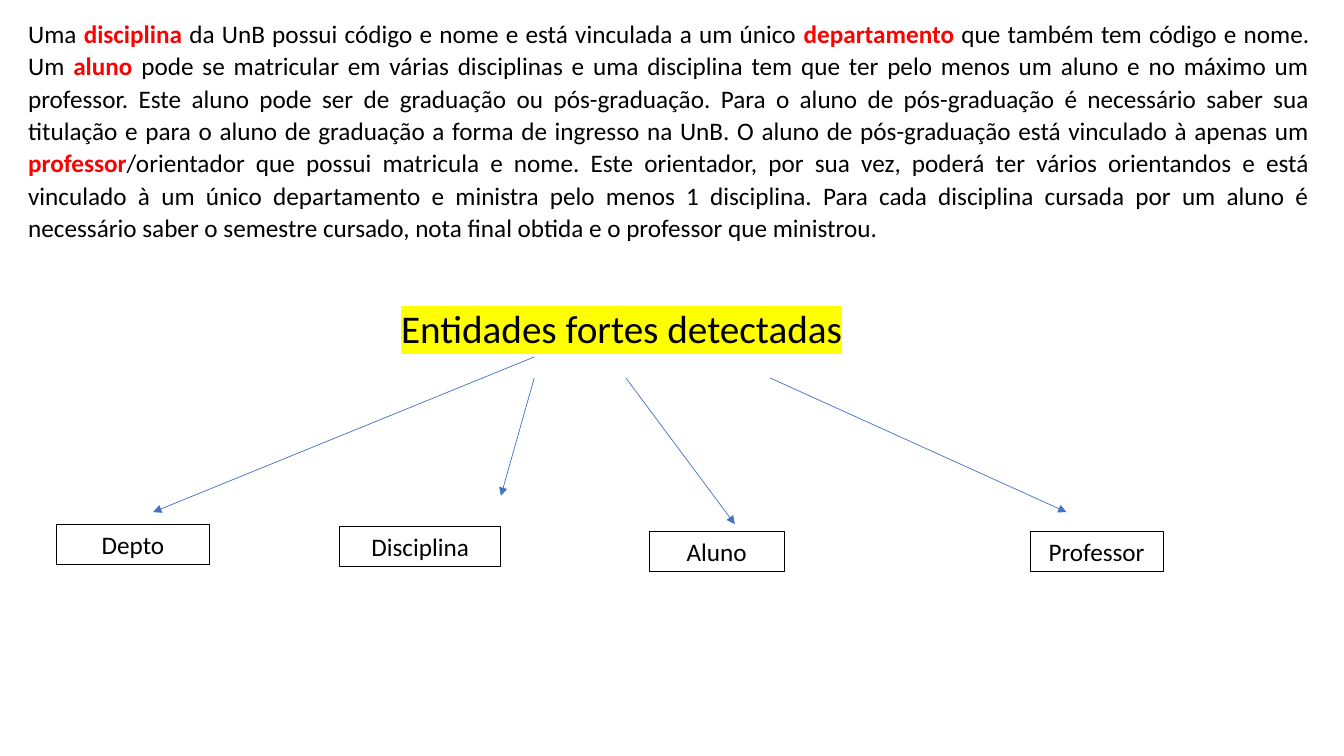
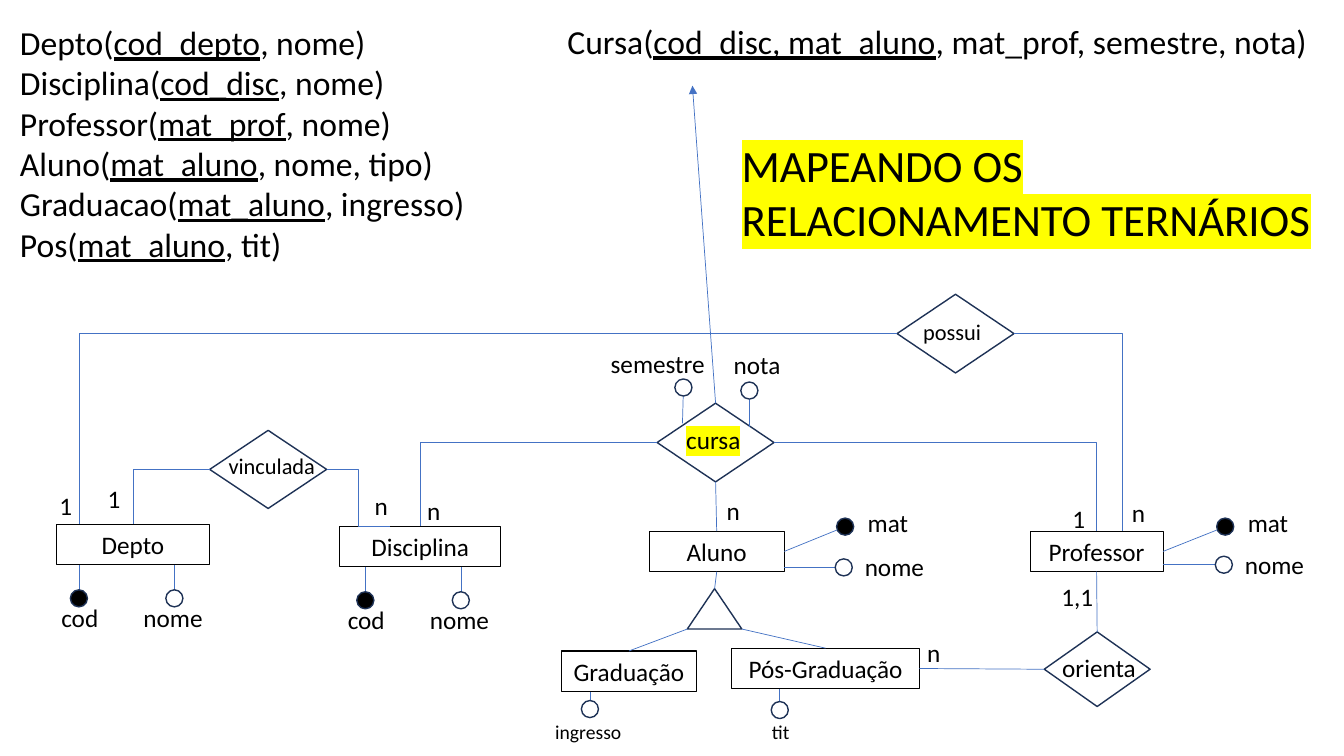
"""Entity-relationship lesson: strong entities and the mapping of a ternary relationship."""
from lxml import etree
from pptx import Presentation
from pptx.dml.color import RGBColor
from pptx.enum import shapes, text
from pptx.oxml import ns
from pptx.util import Pt

BLACK = RGBColor(0x00, 0x00, 0x00)
WHITE = RGBColor(0xFF, 0xFF, 0xFF)
RED = RGBColor(0xFF, 0x00, 0x00)
BLUE = RGBColor(0x44, 0x72, 0xC4)
NAVY = RGBColor(0x1E, 0x32, 0x56)
YELLOW = "FFFF00"
FONT = "Calibri"
SHAPE = shapes.MSO_SHAPE
ELBOW = "bentConnector3"
CORNER = "bentConnector2"
TOP, LEFT, BOTTOM, RIGHT = range(4)
ENTITY_H = 29
DOT = 12.2

MAIN_ENTITIES = [
    ("Depto", 40.3, 374.4, 109.4, WHITE),
    ("Disciplina", 242.6, 375.8, 115.2, None),
    ("Aluno", 463.7, 379.4, 96.5, None),
    ("Professor", 735.8, 379.4, 95, WHITE),
]
SUBTYPES = [
    ("Graduação", 401, 465, 96.5, None),
    ("Pós-Graduação", 522.7, 463, 134, None),
]
STATEMENT = (
    "Uma *disciplina* da UnB possui código e nome e está vinculada a um único "
    "*departamento* que também tem código e nome. Um *aluno* pode se matricular em "
    "várias disciplinas e uma disciplina tem que ter pelo menos um aluno e no máximo um "
    "professor. Este aluno pode ser de graduação ou pós-graduação. Para o aluno de "
    "pós-graduação é necessário saber sua titulação e para o aluno de graduação a forma "
    "de ingresso na UnB. O aluno de pós-graduação está vinculado à apenas um "
    "*professor*/orientador que possui matricula e nome. Este orientador, por sua vez, "
    "poderá ter vários orientandos e está vinculado à um único departamento e ministra "
    "pelo menos 1 disciplina. Para cada disciplina cursada por um aluno é necessário "
    "saber o semestre cursado, nota final obtida e o professor que ministrou."
)
RELATIONS = [
    "Depto(*cod_depto*, nome)",
    "Disciplina(*cod_disc*, nome)",
    "Professor(*mat_prof*, nome)",
    "Aluno(*mat_aluno*, nome, tipo)",
    "Graduacao(*mat_aluno*, ingresso)",
    "Pos(*mat_aluno*, tit)",
]
CARDINALITIES = [
    ("1", 35.3, 347), ("1", 69.8, 342), ("n", 260.6, 347), ("n", 298, 350.6),
    ("n", 512, 350), ("1", 758.9, 355.7), ("n", 801.4, 351.4),
    ("1,1", 751, 411.8), ("n", 655.2, 451.4),
]


def red_bold(r):
    """Mark a run as a key word."""
    r.font.bold = True
    r.font.color.rgb = RED


def underline(r):
    """Mark a run as a primary key."""
    r.font.underline = True


def highlight(r):
    """Give a run a yellow marker."""
    mark = etree.SubElement(r._r.get_or_add_rPr(), ns.qn("a:highlight"))
    etree.SubElement(mark, ns.qn("a:srgbClr"), val=YELLOW)


def write(p, marked, size, emphasis=None):
    """Fill a paragraph, applying emphasis to the parts between asterisks."""
    for i, part in enumerate(marked.split("*")):
        if part:
            r = p.add_run()
            r.text = part
            if i % 2:
                emphasis(r)
    p.font.name = FONT
    p.font.size = Pt(size)
    p.font.color.rgb = BLACK


def textbox(s, lines, x, y, w, h, size=18, emphasis=None):
    """Add a wrapped text box with one paragraph per line."""
    tf = s.shapes.add_textbox(Pt(x), Pt(y), Pt(w), Pt(h)).text_frame
    tf.word_wrap = True
    for i, line in enumerate(lines):
        p = tf.add_paragraph() if i else tf.paragraphs[0]
        write(p, line, size, emphasis)
    return tf


def label(s, caption, x, y, size=18, emphasis=None):
    """Add a short one-line caption."""
    textbox(s, [caption], x, y, 30 + 8 * len(caption), ENTITY_H, size, emphasis)


def figure(s, kind, x, y, w, h, fill=None, line=NAVY, width=1):
    """Add an outlined preset shape."""
    sp = s.shapes.add_shape(kind, Pt(x), Pt(y), Pt(w), Pt(h))
    sp.shadow.inherit = False
    if fill is None:
        sp.fill.background()
    else:
        sp.fill.solid()
        sp.fill.fore_color.rgb = fill
    sp.line.color.rgb = line
    sp.line.width = Pt(width)
    return sp


def entities(s, rows):
    """Add entity boxes and return them by name."""
    boxes = {}
    for name, x, y, w, fill in rows:
        sp = figure(s, SHAPE.RECTANGLE, x, y, w, ENTITY_H, fill, BLACK, 0.75)
        tf = sp.text_frame
        tf.word_wrap = True
        tf.vertical_anchor = text.MSO_ANCHOR.MIDDLE
        p = tf.paragraphs[0]
        p.alignment = text.PP_ALIGN.CENTER
        write(p, name, 18)
        boxes[name] = sp
    return boxes


def link(s, start, end, route="line", arrow=False):
    """Connect two ends, each a point or a (shape, side) pair."""
    joined = [hasattr(e[0], "shape_id") for e in (start, end)]
    points = [(0, 0) if j else e for j, e in zip(joined, (start, end))]
    kind = shapes.MSO_CONNECTOR.STRAIGHT if route == "line" else shapes.MSO_CONNECTOR.ELBOW
    c = s.shapes.add_connector(kind, *(Pt(v) for point in points for v in point))
    if joined[0]:
        c.begin_connect(*start)
    if joined[1]:
        c.end_connect(*end)
    c.line.color.rgb = BLUE
    c.line.width = Pt(0.5)
    spPr = c._element.spPr
    if route == CORNER:
        spPr.find(ns.qn("a:prstGeom")).set("prst", CORNER)
    if arrow:
        etree.SubElement(c.line._get_or_add_ln(), ns.qn("a:tailEnd"), type="triangle")
    etree.SubElement(spPr, ns.qn("a:effectLst"))


def attribute(s, name, start, cx, cy, lx, ly, key=False, size=18):
    """Add an attribute: stem, dot centred on cx, cy, and caption."""
    link(s, start, (cx, cy))
    figure(s, SHAPE.OVAL, cx - DOT / 2, cy - DOT / 2, DOT, DOT, BLACK if key else WHITE)
    label(s, name, lx, ly, size)


def attributes(s, boxes):
    """Add the attributes of every entity and of the cursa relationship."""
    for cx, base in ((56.4, 403.4), (261, 404.8)):
        for name, dx, dl in (("cod", 0, -19.7), ("nome", 68.2, 39)):
            attribute(s, name, (cx + dx, base), cx + dx, base + 24,
                      cx + dl, base + 23.6, name == "cod")
    for owner, edge, cx, y in (("Aluno", 560.2, 603.7, 405.3),
                               ("Professor", 830.8, 875.2, 403.4)):
        attribute(s, "mat", (boxes[owner], RIGHT), cx, 376.2, cx + 9, 359, True)
        attribute(s, "nome", (edge, y), cx - 1, y, cx + 6.9, y - 14.8)
    attribute(s, "semestre", (487.5, 302.4), 488.2, 276.8, 429.1, 245.5)
    attribute(s, "nota", (535.3, 305.3), 535.3, 279, 517, 246.2)
    attribute(s, "ingresso", (421.4, 494), 421.4, 506.5, 389.5, 510.5, size=14)
    attribute(s, "tit", (557, 492), 557, 507.2, 544.3, 510.5, size=14)


def relationships(s, boxes):
    """Add the diamonds, the specialisation triangle and their links."""
    vinculada = figure(s, SHAPE.DIAMOND, 149.8, 307.4, 83.5, 55.8)
    cursa = figure(s, SHAPE.DIAMOND, 469.4, 288, 83.5, 56.2)
    possui = figure(s, SHAPE.DIAMOND, 640.8, 210.2, 83.5, 56.2)
    orienta = figure(s, SHAPE.DIAMOND, 745.9, 451.4, 75.6, 53.3, WHITE)
    triangle = figure(s, SHAPE.ISOSCELES_TRIANGLE, 491, 420.5, 38.9, 28.8)

    link(s, (vinculada, LEFT), (boxes["Depto"], TOP), CORNER)
    link(s, (vinculada, RIGHT), (278.6, 375.8), ELBOW)
    link(s, (cursa, LEFT), (boxes["Disciplina"], TOP), CORNER)
    link(s, (cursa, RIGHT), (boxes["Professor"], TOP), CORNER)
    link(s, (cursa, BOTTOM), (boxes["Aluno"], TOP))
    link(s, (cursa, TOP), (494.6, 61.2), arrow=True)
    link(s, (possui, LEFT), (56.4, 374.4), CORNER)
    link(s, (possui, RIGHT), (801.4, 379.4), CORNER)
    link(s, (orienta, TOP), (boxes["Professor"], BOTTOM))
    link(s, (boxes["Pós-Graduação"], RIGHT), (orienta, LEFT))
    link(s, (triangle, TOP), (boxes["Aluno"], BOTTOM))
    link(s, (boxes["Graduação"], TOP), (491, 449.3))
    link(s, (boxes["Pós-Graduação"], TOP), (529.9, 449.3))

    label(s, "vinculada", 156.2, 319.7, 16)
    label(s, "possui", 652.3, 223.9, 16)
    label(s, "*cursa*", 483.1, 299.5, emphasis=highlight)
    label(s, "orienta", 751.7, 462.2)


def strong_entities(s):
    """Build the slide that finds the strong entities in the statement."""
    p = textbox(s, [STATEMENT], 13, 7.9, 929.5, 170, emphasis=red_bold).paragraphs[0]
    p.alignment = text.PP_ALIGN.JUSTIFY
    p.line_spacing = 1.07
    p.space_after = Pt(8)
    textbox(s, ["*Entidades fortes detectadas*"], 279.4, 213.8, 490, 41, 28, highlight)
    entities(s, MAIN_ENTITIES)
    for start, end in (((381.6, 255), (109.4, 365.8)), ((381.6, 270), (357.8, 354.2)),
                       ((447.1, 270), (524.9, 374.4)), ((550.1, 270), (761.8, 365.8))):
        link(s, start, end, arrow=True)


def ternary_mapping(s):
    """Build the slide that maps the diagram to relations."""
    boxes = entities(s, MAIN_ENTITIES + SUBTYPES)
    relationships(s, boxes)
    attributes(s, boxes)
    for caption, x, y in CARDINALITIES:
        label(s, caption, x, y)
    textbox(s, RELATIONS, 7.2, 12.2, 365, 181.4, 24, underline)
    textbox(s, ["Cursa(*cod_disc, mat_aluno*, mat_prof, semestre, nota)"],
            398.2, 11.5, 560, 36, 24, underline)
    textbox(s, ["*MAPEANDO OS RELACIONAMENTO TERNÁRIOS*"],
            522.7, 95, 437, 85, 32, highlight)


def main():
    """Build and save the presentation."""
    prs = Presentation()
    prs.slide_width, prs.slide_height = Pt(960), Pt(540)
    for build in (strong_entities, ternary_mapping):
        build(prs.slides.add_slide(prs.slide_layouts[6]))
    prs.save("out.pptx")


if __name__ == "__main__":
    main()
